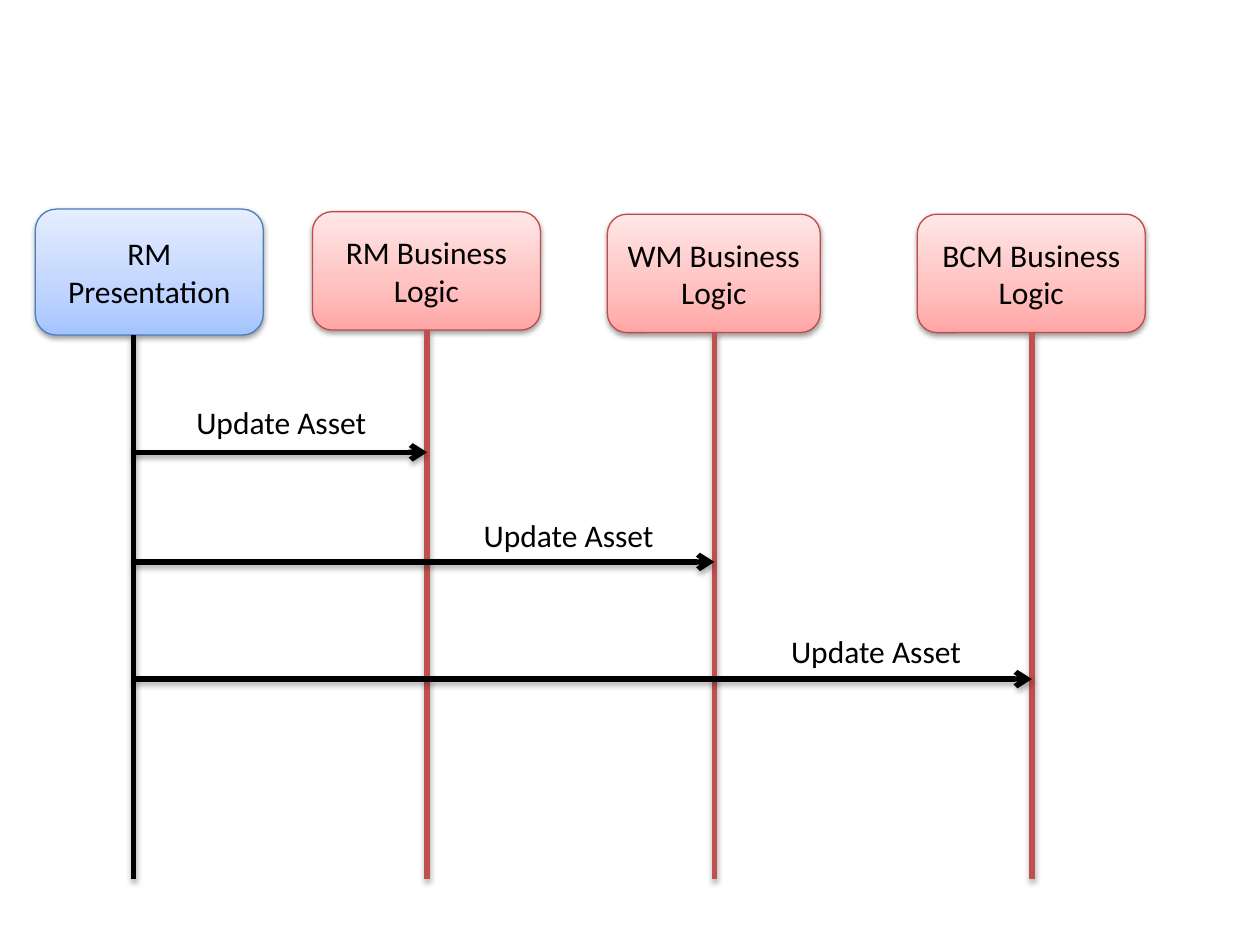
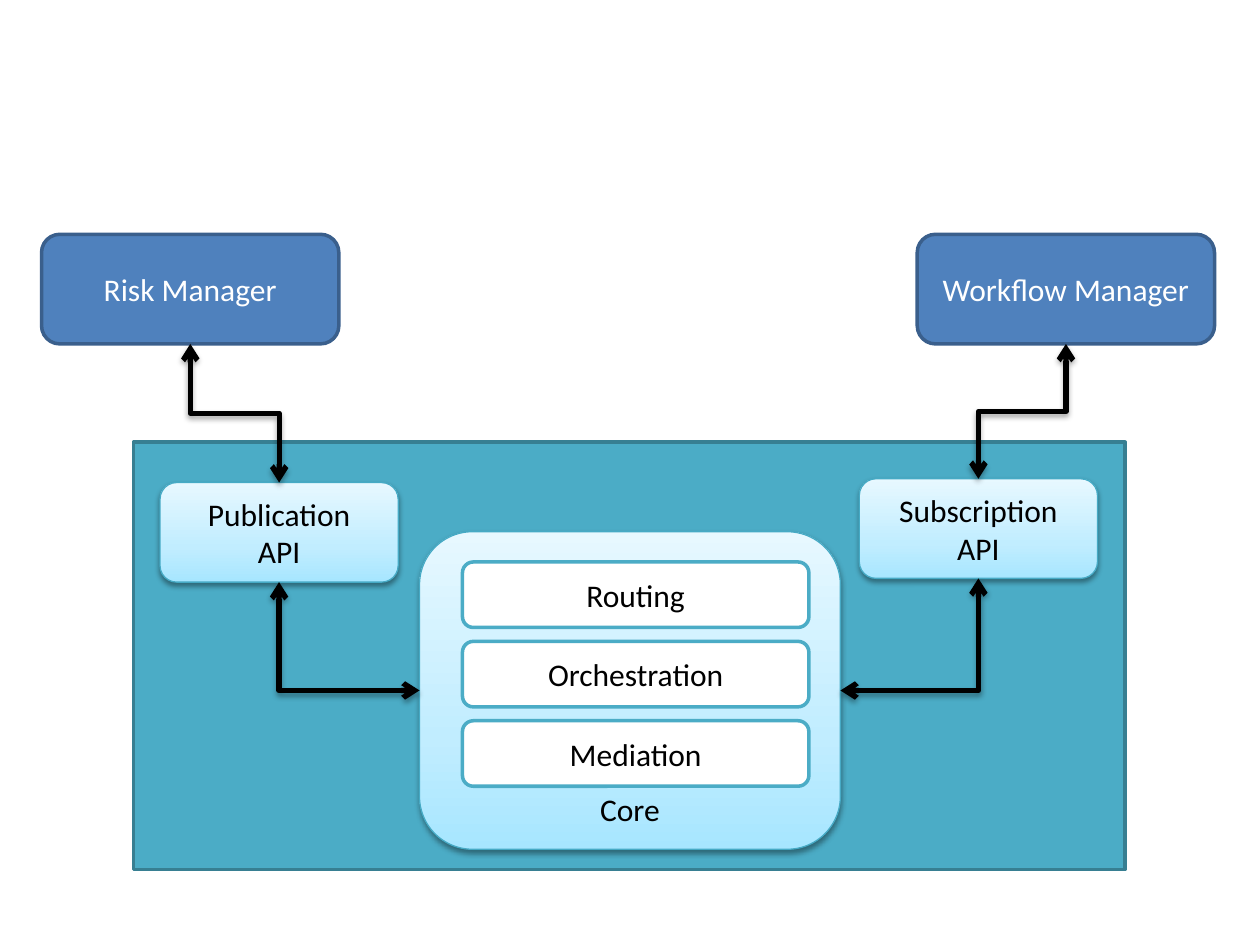
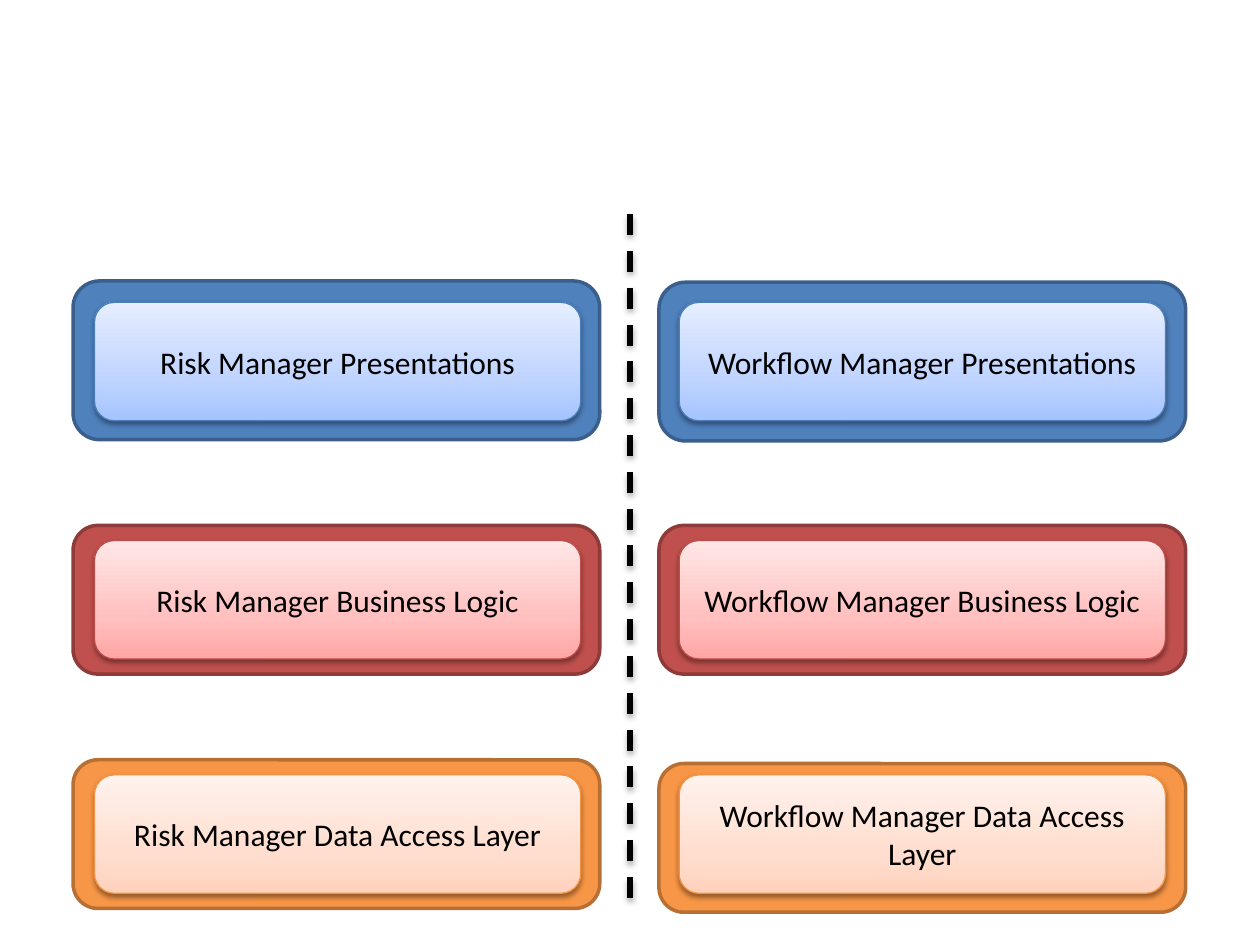
from dataclasses import dataclass

from lxml import etree
from pptx import Presentation
from pptx.dml.color import RGBColor
from pptx.enum.dml import MSO_LINE
from pptx.enum.shapes import MSO_CONNECTOR as Connector, MSO_SHAPE as Shape
from pptx.enum.text import MSO_ANCHOR as Anchor, MSO_AUTO_SIZE as AutoSize, PP_ALIGN as Align
from pptx.oxml.ns import qn
from pptx.util import Inches, Pt


@dataclass(frozen=True)
class Palette:
    solid: str
    border: str
    edge: str
    stops: tuple


@dataclass(frozen=True)
class Theme:
    font: str = "Calibri"
    size: float = 18
    black: str = "000000"
    white: str = "FFFFFF"
    stop_positions: tuple = (0, 35, 100)
    thin: float = 0.75
    medium: float = 2
    thick: float = 3
    blue: Palette = Palette("4F81BD", "3A5F8C", "4B7EBC", ("A4C4FF", "BFD4FF", "E6EEFF"))
    red: Palette = Palette("C0504D", "8E3B39", "BF4C48", ("FFA6A5", "FFC0BF", "FFE7E7"))
    orange: Palette = Palette("F79646", "B76F34", "F69240", ("FFD2BD", "FFDED0", "FFF2ED"))
    teal: Palette = Palette("4BACC6", "377F92", "46AAC5", ("A7E6FF", "C1EDFF", "E7F8FF"))


THEME = Theme()

# Sequence diagram: text, box, lifeline x, palette, lifeline colour
PARTICIPANTS = [
    ("RM Presentation", (0.28, 1.66, 1.81, 1), 1.06, THEME.blue, THEME.black),
    ("RM Business Logic", (2.48, 1.68, 1.81, 0.94), 3.39, THEME.red, THEME.red.solid),
    ("WM Business Logic", (4.82, 1.7, 1.69, 0.94), 5.67, THEME.red, THEME.red.solid),
    ("BCM Business Logic", (7.28, 1.7, 1.81, 0.94), 8.19, THEME.red, THEME.red.solid),
]
LIFELINE_END = 6.98
# Text, arrow y, label left, label top; each goes to the next participant
MESSAGES = [
    ("Update Asset", 3.59, 1.46, 3.15),
    ("Update Asset", 4.46, 3.74, 4.05),
    ("Update Asset", 5.39, 6.18, 4.97),
]
LABEL_SIZE = (1.56, 0.4)

# Integration bus
MANAGERS = [("Risk Manager", (0.33, 1.86, 2.36, 0.87)),
            ("Workflow Manager", (7.28, 1.86, 2.36, 0.87))]
BUS = (1.06, 3.51, 7.87, 3.39)
APIS = [("Publication\nAPI", (1.27, 3.83, 1.89, 0.79)),
        ("Subscription API", (6.82, 3.8, 1.89, 0.79))]
CORE = ("Core", (3.33, 4.22, 3.34, 2.52))
SERVICES = ["Routing", "Orchestration", "Mediation"]
SERVICE_BOX, SERVICE_STEP = (3.67, 4.46, 2.75, 0.52), 0.63

# Layers: name, palette, panel tops (left, right), panel height, card top
APPLICATIONS = ["Risk Manager", "Workflow Manager"]
LAYERS = [
    ("Presentations", THEME.blue, (2.23, 2.24), 1.26, 2.4),
    ("Business Logic", THEME.red, (4.17, 4.17), 1.18, 4.29),
    ("Data Access Layer", THEME.orange, (6.03, 6.06), 1.18, 6.15),
]
PANEL_LEFTS, PANEL_WIDTH = (0.58, 5.23), 4.18
CARD_LEFTS, CARD_WIDTH, CARD_HEIGHT = (0.75, 5.39), 3.86, 0.94
DIVIDER = ((5, 1.7), (5, 7.24))


def color(value):
    return RGBColor.from_string(value)


def inches(*values):
    return [Inches(value) for value in values]


def add_child(parent, tag, **attributes):
    child = etree.SubElement(parent, qn(tag))
    for name, value in attributes.items():
        child.set(name, str(value))
    return child


def add_shadow(properties, distance, alpha):
    effects = properties.find(qn("a:effectLst"))
    if effects is None:
        effects = add_child(properties, "a:effectLst")
    shadow = add_child(effects, "a:outerShdw", blurRad=40000, dist=distance,
                       dir=5400000, rotWithShape=0)
    add_child(add_child(shadow, "a:srgbClr", val=THEME.black), "a:alpha", val=alpha * 1000)


def set_text(shape, text, font_color=THEME.black, align=Align.CENTER,
             anchor=Anchor.MIDDLE, wrap=True):
    frame = shape.text_frame
    frame.text = text
    frame.word_wrap = wrap
    frame.vertical_anchor = anchor
    for paragraph in frame.paragraphs:
        paragraph.alignment = align
        font = paragraph.runs[0].font
        font.name, font.size = THEME.font, Pt(THEME.size)
        font.color.rgb = color(font_color)


def add_box(slide, box, line, width=THEME.medium, kind=Shape.ROUNDED_RECTANGLE,
            fill=None, text=None, **text_format):
    shape = slide.shapes.add_shape(kind, *inches(*box))
    shape.shadow.inherit = False
    if fill:
        shape.fill.solid()
        shape.fill.fore_color.rgb = color(fill)
    shape.line.color.rgb = color(line)
    shape.line.width = Pt(width)
    if text:
        set_text(shape, text, **text_format)
    return shape


def add_card(slide, box, palette, text, **text_format):
    """Add a rounded box with a vertical gradient and a soft shadow."""
    card = add_box(slide, box, palette.edge, THEME.thin, text=text, **text_format)
    card.fill.gradient()
    card.fill.gradient_angle = 90
    properties = card._element.spPr
    stops = properties.find(".//" + qn("a:gsLst"))
    for stop in list(stops):
        stops.remove(stop)
    for position, value in zip(THEME.stop_positions, palette.stops):
        stop = add_child(stops, "a:gs", pos=position * 1000)
        add_child(stop, "a:srgbClr", val=value)
    add_shadow(properties, 20000, 38)


def add_line(slide, start, end, line_color=THEME.black, kind=Connector.STRAIGHT,
             arrows=(), dash=None):
    connector = slide.shapes.add_connector(kind, *inches(*start, *end))
    connector.line.color.rgb = color(line_color)
    connector.line.width = Pt(THEME.thick)
    if dash:
        connector.line.dash_style = dash
    properties = connector._element.spPr
    for arrow in arrows:
        add_child(properties.find(qn("a:ln")), arrow, type="arrow")
    add_shadow(properties, 23000, 35)
    return connector


def add_elbow(slide, start, end, preset="bentConnector3"):
    """Add a two-headed elbow that leaves start downwards."""
    (x1, y1), (x2, y2) = start, end
    length, breadth = y2 - y1, abs(x2 - x1)
    left, top = (x1 + x2 - length) / 2, (y1 + y2 - breadth) / 2
    connector = add_line(slide, (left, top), (left + length, top + breadth),
                         kind=Connector.ELBOW, arrows=("a:headEnd", "a:tailEnd"))
    properties = connector._element.spPr
    properties.find(qn("a:prstGeom")).set("prst", preset)
    frame = properties.find(qn("a:xfrm"))
    frame.set("rot", str((270 if x2 > x1 else 90) * 60000))
    if x2 > x1:
        frame.set("flipH", "1")


def top_center(box):
    left, top, width, _ = box
    return left + width / 2, top


def bottom_center(box):
    left, top, width, height = box
    return left + width / 2, top + height


def build_sequence(slide):
    for text, box, x, palette, line_color in PARTICIPANTS:
        add_card(slide, box, palette, text)
        add_line(slide, (x, box[1] + box[3]), (x, LIFELINE_END), line_color)
    source_x = PARTICIPANTS[0][2]
    for (text, y, left, top), target in zip(MESSAGES, PARTICIPANTS[1:]):
        add_line(slide, (source_x, y), (target[2], y), arrows=("a:tailEnd",))
        label = slide.shapes.add_textbox(*inches(left, top, *LABEL_SIZE))
        set_text(label, text, align=Align.LEFT, anchor=Anchor.TOP, wrap=False)
        label.text_frame.auto_size = AutoSize.SHAPE_TO_FIT_TEXT


def build_bus(slide):
    add_box(slide, BUS, THEME.teal.border, kind=Shape.RECTANGLE, fill=THEME.teal.solid)
    core_text, core_box = CORE
    add_card(slide, core_box, THEME.teal, core_text, anchor=Anchor.BOTTOM)
    left, top, width, height = SERVICE_BOX
    for index, text in enumerate(SERVICES):
        add_box(slide, (left, top + index * SERVICE_STEP, width, height),
                THEME.teal.solid, fill=THEME.white, text=text)
    core_left, core_top, core_width, core_height = core_box
    core_sides = (core_left, core_left + core_width)
    core_middle = core_top + core_height / 2
    for (manager, manager_box), (api, api_box), side in zip(MANAGERS, APIS, core_sides):
        add_box(slide, manager_box, THEME.blue.border, fill=THEME.blue.solid,
                text=manager, font_color=THEME.white)
        add_card(slide, api_box, THEME.teal, api)
        add_elbow(slide, bottom_center(manager_box), top_center(api_box))
        add_elbow(slide, bottom_center(api_box), (side, core_middle), "bentConnector2")


def build_layers(slide):
    for layer, palette, tops, height, card_top in LAYERS:
        for application, left, top, card_left in zip(
                APPLICATIONS, PANEL_LEFTS, tops, CARD_LEFTS):
            add_box(slide, (left, top, PANEL_WIDTH, height), palette.border,
                    fill=palette.solid)
            add_card(slide, (card_left, card_top, CARD_WIDTH, CARD_HEIGHT),
                     palette, f"{application} {layer}")
    add_line(slide, *DIVIDER, dash=MSO_LINE.DASH)


def main():
    presentation = Presentation()
    presentation.slide_width, presentation.slide_height = inches(10, 7.5)
    blank_layout = presentation.slide_layouts[6]
    for build in (build_sequence, build_bus, build_layers):
        build(presentation.slides.add_slide(blank_layout))
    presentation.save("out.pptx")


if __name__ == "__main__":
    main()
